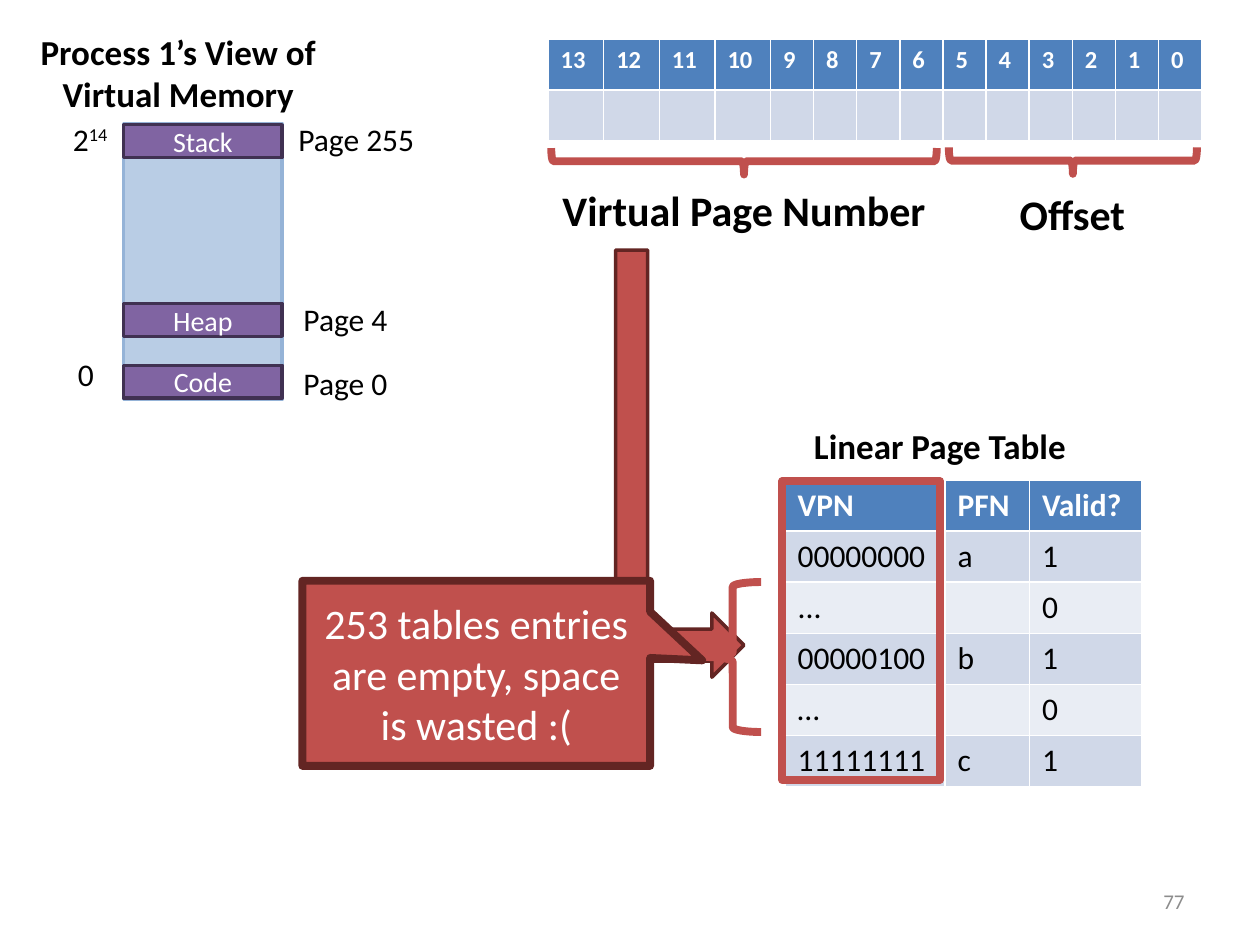
from dataclasses import dataclass

import pptx
import pptx.dml.color
import pptx.enum.shapes
import pptx.enum.text
import pptx.util

Pt = pptx.util.Pt
Shape = pptx.enum.shapes.MSO_SHAPE
Align = pptx.enum.text.PP_ALIGN
Anchor = pptx.enum.text.MSO_ANCHOR


@dataclass(frozen=True)
class Theme:
    font: str = "Calibri"
    black: str = "000000"
    white: str = "FFFFFF"
    gray: str = "8C8C8C"
    header: str = "4F81BD"
    bands: tuple = ("D0D8E8", "E9EDF4")
    memory: str = "B9CDE5"
    memory_line: str = "95B3D7"
    segment: str = "8064A2"
    segment_line: str = "403152"
    accent: str = "C0504D"
    accent_line: str = "632523"
    footer_size: int = 12
    bit_size: int = 14
    segment_size: int = 16
    body_size: int = 18
    heading_size: int = 20
    large_size: int = 24
    thin: float = 2
    thick: float = 4.5


def rgb(color):
    return pptx.dml.color.RGBColor.from_string(color)


def write(paragraph, text, font, size, color, bold=False, align=None, superscript=False):
    run = paragraph.add_run()
    run.text = text
    run.font.name = font
    run.font.size = Pt(size)
    run.font.bold = bold
    run.font.color.rgb = rgb(color)
    if align is not None:
        paragraph.alignment = align
    if superscript:
        run._r.get_or_add_rPr().set("baseline", "30000")


class Builder:
    def __init__(self, slide, theme):
        self.slide = slide
        self.theme = theme

    def label(self, text, left, top, width, height, size=None, color=None, bold=False,
              align=None, anchor=Anchor.TOP, exponent=None):
        theme = self.theme
        size = size or theme.body_size
        color = color or theme.black
        frame = self.slide.shapes.add_textbox(Pt(left), Pt(top), Pt(width), Pt(height)).text_frame
        frame.word_wrap = False
        frame.vertical_anchor = anchor
        for index, line in enumerate(text.split("\n")):
            paragraph = frame.add_paragraph() if index else frame.paragraphs[0]
            write(paragraph, line, theme.font, size, color, bold=bold, align=align)
        if exponent:
            write(paragraph, exponent, theme.font, size, color, superscript=True)

    def heading(self, text, left, top, width, height, size):
        self.label(text, left, top, width, height, size=size, bold=True, align=Align.CENTER)

    def shape(self, kind, left, top, width, height, line, weight, fill=None, text=None,
              size=None, rotation=0):
        if rotation in (90, 270):
            left += (width - height) / 2
            top += (height - width) / 2
            width, height = height, width
        shape = self.slide.shapes.add_shape(kind, Pt(left), Pt(top), Pt(width), Pt(height))
        shape.shadow.inherit = False
        shape.rotation = rotation
        shape.line.color.rgb = rgb(line)
        shape.line.width = Pt(weight)
        if fill:
            shape.fill.solid()
            shape.fill.fore_color.rgb = rgb(fill)
        else:
            shape.fill.background()
        if text:
            frame = shape.text_frame
            frame.word_wrap = True
            frame.vertical_anchor = Anchor.MIDDLE
            write(frame.paragraphs[0], text, self.theme.font, size, self.theme.white,
                  align=Align.CENTER)
        return shape

    def brace(self, left, top, width, height, rotation=0):
        self.shape(Shape.LEFT_BRACE, left, top, width, height, self.theme.accent,
                   self.theme.thick, rotation=rotation)

    def table(self, rows, left, top, widths, row_height, header_size):
        theme = self.theme
        table = self.slide.shapes.add_table(
            len(rows), len(widths), Pt(left), Pt(top), Pt(sum(widths)), Pt(row_height * len(rows))
        ).table
        for column, width in zip(table.columns, widths):
            column.width = Pt(width)
        for row_index, values in enumerate(rows):
            is_header = row_index == 0
            table.rows[row_index].height = Pt(row_height)
            for column_index, value in enumerate(values):
                cell = table.cell(row_index, column_index)
                cell.fill.solid()
                cell.fill.fore_color.rgb = rgb(
                    theme.header if is_header else theme.bands[(row_index - 1) % 2])
                if value:
                    write(cell.text_frame.paragraphs[0], value, theme.font,
                          header_size if is_header else theme.body_size,
                          theme.white if is_header else theme.black, bold=is_header)


def main():
    presentation = pptx.Presentation()
    presentation.slide_width = Pt(720)
    presentation.slide_height = Pt(540)
    theme = Theme()
    builder = Builder(presentation.slides.add_slide(presentation.slide_layouts[6]), theme)

    builder.label("77", 516.2, 500.4, 167.8, 28.8, size=theme.footer_size, color=theme.gray,
                  align=Align.RIGHT, anchor=Anchor.MIDDLE)

    page_table = [
        ("VPN", "PFN", "Valid?"),
        ("00000000", "a", "1"),
        ("...", "", "0"),
        ("00000100", "b", "1"),
        ("…", "", "0"),
        ("11111111", "c", "1"),
    ]
    builder.table(page_table, 448.6, 274.3, [91.5, 48.2, 64], 29.2, theme.body_size)
    builder.heading("Linear Page Table", 457.2, 239, 159.8, 31.7, theme.heading_size)

    builder.shape(Shape.RECTANGLE, 70.6, 70.6, 90.7, 157.7, theme.memory_line, theme.thin,
                  fill=theme.memory)
    builder.label("0", 37.4, 199.4, 23.8, 28.8)
    builder.label("2", 34.6, 64.8, 36, 28.8, exponent="14")
    builder.heading("Process 1’s View of\nVirtual Memory", 15.1, 13.7, 173.5, 55.4,
                    theme.heading_size)
    segments = [
        ("Stack", 71.3, "Page 255", 163.4, 64.8, 81.4),
        ("Heap", 173.5, "Page 4", 166.3, 167.8, 63.4),
        ("Code", 208.8, "Page 0", 166.3, 204.5, 63.4),
    ]
    for name, top, page, page_left, page_top, page_width in segments:
        builder.shape(Shape.RECTANGLE, 70.6, top, 90.7, 18.7, theme.segment_line, theme.thin,
                      fill=theme.segment, text=name, size=theme.segment_size)
        builder.label(page, page_left, page_top, page_width, 28.8)

    bits = [str(bit) for bit in range(13, -1, -1)]
    builder.table([bits, [""] * len(bits)], 313.2, 22.3, [31.8] * 4 + [24.65] * 10, 29.2,
                  theme.bit_size)
    builder.brace(542.2, 84.2, 141.8, 15.1, rotation=270)
    builder.heading("Offset", 574.6, 104.4, 76.3, 36, theme.large_size)
    builder.brace(315, 84.6, 220.3, 15.1, rotation=270)
    builder.heading("Virtual Page Number", 313.2, 102.2, 223.9, 36, theme.large_size)

    builder.shape(Shape.BENT_UP_ARROW, 351.7, 142.9, 73.4, 244.1, theme.accent_line, theme.thin,
                  fill=theme.accent, rotation=90)
    builder.shape(Shape.FLOWCHART_PROCESS, 447.1, 275, 90, 170.6, theme.accent, theme.thick)
    builder.brace(402.5, 332.6, 32.4, 85.7)
    callout = builder.shape(Shape.RECTANGULAR_CALLOUT, 172.8, 331.9, 198.7, 105.8,
                            theme.accent_line, theme.thick, fill=theme.accent,
                            text="253 tables entries are empty, space is wasted :(",
                            size=theme.large_size)
    callout.adjustments[0] = 0.65
    callout.adjustments[1] = -0.07

    presentation.save("out.pptx")


if __name__ == "__main__":
    main()
